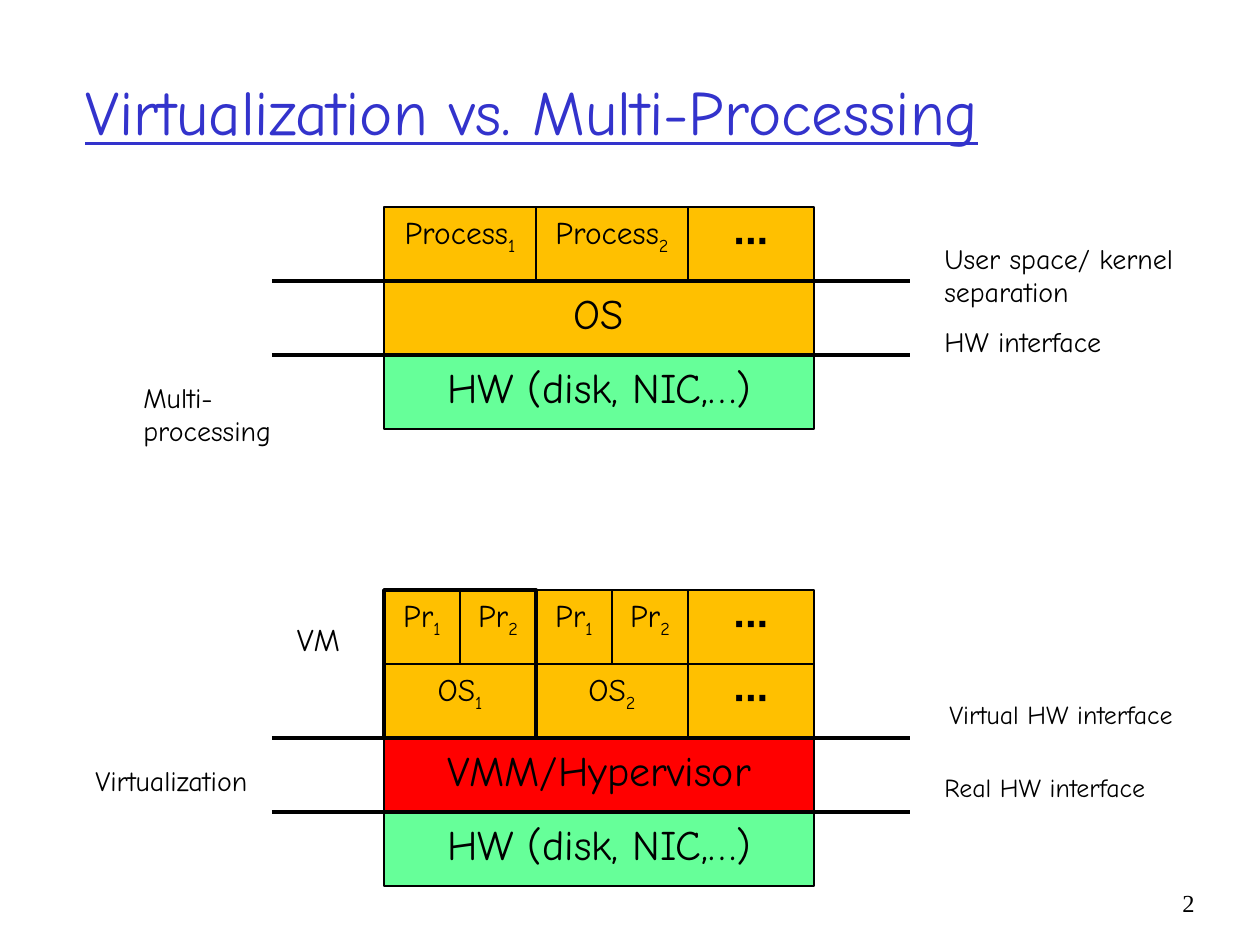
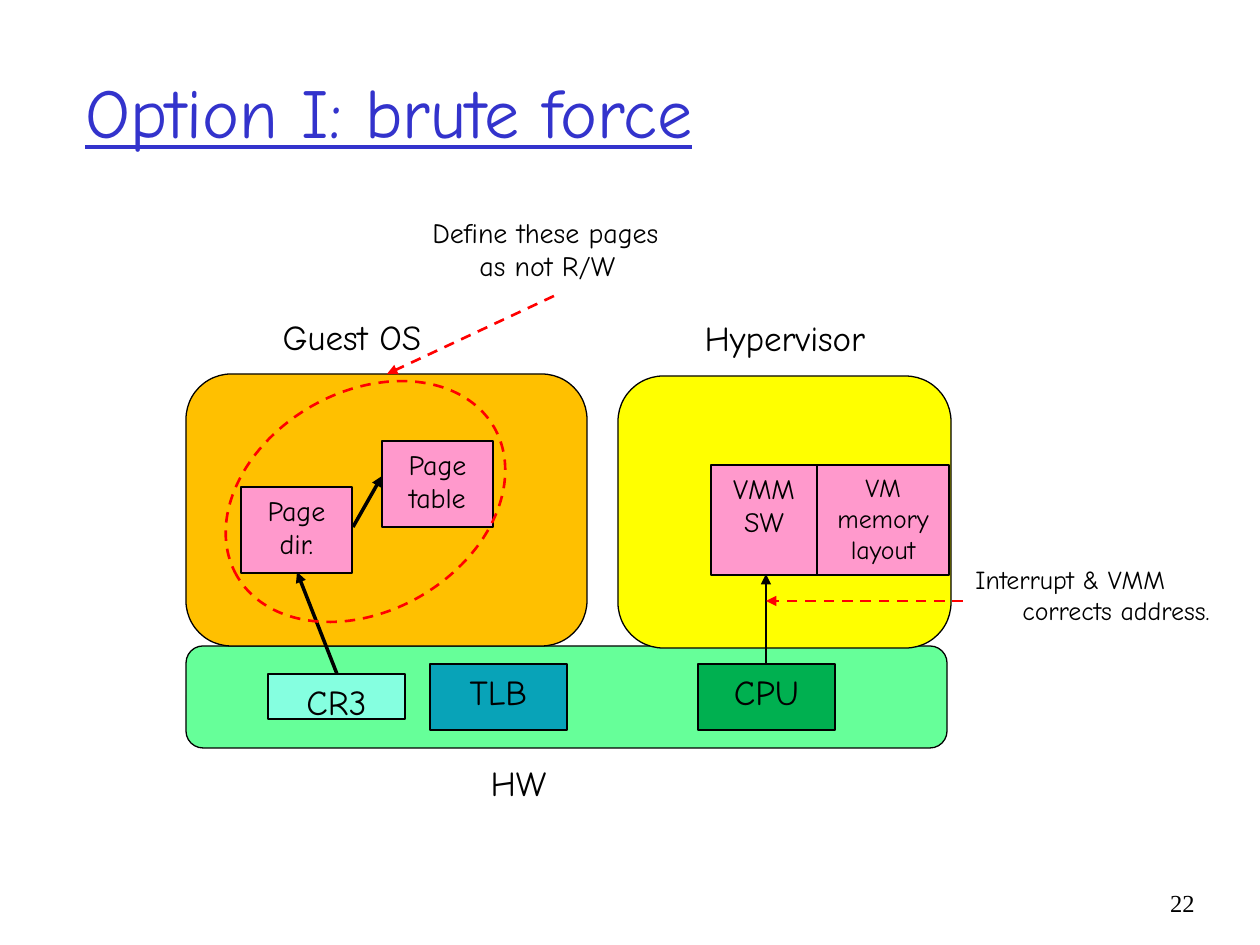
from dataclasses import dataclass

from lxml import etree
from pptx import Presentation
from pptx.dml.color import RGBColor
from pptx.enum.dml import MSO_LINE
from pptx.enum.shapes import MSO_CONNECTOR, MSO_SHAPE
from pptx.enum.text import MSO_ANCHOR, PP_ALIGN
from pptx.oxml.ns import qn
from pptx.util import Pt

RECT, ROUND, OVAL = MSO_SHAPE.RECTANGLE, MSO_SHAPE.ROUNDED_RECTANGLE, MSO_SHAPE.OVAL
STRAIGHT, DASH = MSO_CONNECTOR.STRAIGHT, MSO_LINE.DASH
TOP, MIDDLE = MSO_ANCHOR.TOP, MSO_ANCHOR.MIDDLE
LEFT, CENTER, RIGHT = PP_ALIGN.LEFT, PP_ALIGN.CENTER, PP_ALIGN.RIGHT
EMU_PER_PX = 914400 / 126


@dataclass(frozen=True)
class Theme:
    font: str = "Comic Neue"
    number_font: str = "Times New Roman"
    dots_font: str = "Arial"
    title: str = "3333CC"
    ink: str = "000000"
    alert: str = "FF0000"
    orange: str = "FFC000"
    green: str = "66FF99"
    yellow: str = "FFFF00"
    pink: str = "FF99CC"
    teal: str = "08A3B8"
    aqua: str = "85FFE0"
    cpu: str = "00B050"
    layer: float = 24
    unit: float = 20
    cell: float = 18
    note: float = 16
    small: float = 14.8
    number: float = 14
    thin: float = 0.75
    medium: float = 1.5
    thick: float = 2


T = Theme()


@dataclass(frozen=True)
class Box:
    x: int
    y: int
    w: int
    h: int
    fill: str | None = None
    text: str = ""
    size: float = T.note
    sub: str = ""
    kind: int = RECT
    line: str = T.ink
    weight: float = T.thin
    dashed: bool = False
    turn: int = 0


@dataclass(frozen=True)
class Label:
    x: int
    y: int
    w: int
    h: int
    text: str
    size: float = T.note
    align: int = LEFT
    margin: int = 0
    indent: int = 0


@dataclass(frozen=True)
class Line:
    x1: int
    y1: int
    x2: int
    y2: int
    line: str = T.ink
    weight: float = T.thick
    dashed: bool = False
    arrow: bool = True


def px(n: int) -> int:
    return round(n * EMU_PER_PX)


def write(sp, text: str, size: float, align: int, sub: str = "", color: str = T.ink,
          font: str = T.font, gap: float = 0.25, anchor: int = TOP, **extra):
    """Fill a shape with one paragraph; gap is space before, relative to size."""
    tf = sp.text_frame
    tf.word_wrap, tf.vertical_anchor = True, anchor
    p = tf.paragraphs[0]
    p.alignment, p.space_before = align, Pt(size * gap)
    for piece in filter(None, (text, sub)):
        r = p.add_run()
        r.text = piece
        for name, value in {"name": font, "size": Pt(size), **extra}.items():
            setattr(r.font, name, value)
        r.font.color.rgb = RGBColor.from_string(color)
    if sub:
        r.font._element.set("baseline", "-25000")
    return p


def style_line(line, item: Box | Line) -> None:
    line.color.rgb = RGBColor.from_string(item.line)
    line.width = Pt(item.weight)
    if item.dashed:
        line.dash_style = DASH


def add_box(s, b: Box) -> None:
    sp = s.shapes.add_shape(b.kind, px(b.x), px(b.y), px(b.w), px(b.h))
    sp.shadow.inherit = False
    sp.rotation = b.turn
    if b.fill:
        sp.fill.solid()
        sp.fill.fore_color.rgb = RGBColor.from_string(b.fill)
    else:
        sp.fill.background()
    style_line(sp.line, b)
    if b.text == "∙∙∙":
        write(sp, b.text, b.size, CENTER, font=T.dots_font, bold=True)
    elif b.text:
        write(sp, b.text, b.size, CENTER, b.sub)


def add_label(s, b: Label) -> None:
    sp = s.shapes.add_textbox(px(b.x), px(b.y), px(b.w), px(b.h))
    p = write(sp, b.text, b.size, b.align)
    if b.margin:
        pPr = p._p.get_or_add_pPr()
        pPr.set("marL", str(px(b.margin)))
        pPr.set("indent", str(px(b.indent)))


def add_line(s, n: Line) -> None:
    c = s.shapes.add_connector(STRAIGHT, px(n.x1), px(n.y1), px(n.x2), px(n.y2))
    style_line(c.line, n)
    spPr = c.element.spPr
    if n.arrow:
        etree.SubElement(spPr.find(qn("a:ln")), qn("a:tailEnd"), type="triangle")
    etree.SubElement(spPr, qn("a:effectLst"))


DRAW = {Box: add_box, Label: add_label, Line: add_line}


def add_slide(prs, title: str, size: float, number: int, items: list) -> None:
    s = prs.slides.add_slide(prs.slide_layouts[6])
    sp = s.shapes.add_textbox(px(73), px(32), px(1071), px(157))
    write(sp, title, size, LEFT, color=T.title, gap=0, anchor=MIDDLE, underline=True)
    sp = s.shapes.add_textbox(px(1144), px(882), px(63), px(63))
    write(sp, str(number), T.number, RIGHT, font=T.number_font, gap=0)
    for item in items:
        DRAW[type(item)](s, item)


# Layer stacks: a column holds one process or VM, the last one the dots
STACK_X, COL, DOTS_W, ROW = 384, 152, 126, 74
STACK_W = 2 * COL + DOTS_W
HALF = COL // 2


def layer(y: int, text: str, fill: str) -> Box:
    return Box(STACK_X, y, STACK_W, ROW, fill, text, T.layer)


def cells(y: int, width: int, names: list[tuple[str, str]]) -> list[Box]:
    row = [Box(STACK_X + i * width, y, width, ROW, T.orange, name, T.cell, sub)
           for i, (name, sub) in enumerate(names)]
    return row + [Box(STACK_X + 2 * COL, y, DOTS_W, ROW, T.orange, "∙∙∙", T.layer)]


def separator(y: int) -> Line:
    return Line(272, y, 910, y, arrow=False)


def stacks() -> list:
    multi = [207 + i * ROW for i in range(3)]
    virtual = [590 + i * ROW for i in range(4)]
    hardware = "HW (disk, NIC,…)"
    return [
        # Multi-processing
        layer(multi[2], hardware, T.green),
        layer(multi[1], "OS", T.orange),
        *cells(multi[0], COL, [("Process", "1"), ("Process", "2")]),
        *map(separator, multi[1:]),
        Label(83, 374, 232, 92, "Multi-processing", margin=48),
        Label(932, 235, 268, 92, "User space/ kernel separation"),
        Label(932, 318, 268, 92, "HW interface"),
        # Virtualization
        layer(virtual[3], hardware, T.green),
        layer(virtual[2], "VMM/Hypervisor", T.alert),
        *cells(virtual[0], HALF, [("Pr", "1"), ("Pr", "2")] * 2),
        *cells(virtual[1], COL, [("OS", "1"), ("OS", "2")]),
        *map(separator, virtual[2:]),
        Label(83, 757, 232, 54, "Virtualization"),
        Label(937, 692, 323, 45, "Virtual HW interface", T.small),
        Label(932, 765, 285, 45, "Real HW interface", T.small),
        # One virtual machine
        Box(STACK_X, virtual[0], COL, 2 * ROW, weight=T.thick),
        Label(267, 614, 103, 73, "VM", T.cell, CENTER),
    ]


def brute_force() -> list:
    red = {"line": T.alert, "weight": T.medium, "dashed": True}
    hanging = {"margin": 47, "indent": -47}
    return [
        # Hardware
        Box(186, 646, 761, 102, T.green, kind=ROUND),
        Label(450, 755, 137, 66, "HW", T.unit, CENTER),
        Box(430, 664, 137, 66, T.teal, "TLB", T.unit),
        Box(268, 674, 137, 45, T.aqua, "CR3", T.unit),
        Box(698, 664, 137, 66, T.cpu, "CPU", T.unit),
        # Guest OS
        Box(186, 374, 401, 272, T.orange, kind=ROUND),
        Label(239, 309, 226, 66, "Guest OS", T.unit, CENTER),
        Box(241, 487, 111, 86, T.pink, "Page dir."),
        Box(382, 441, 111, 86, T.pink, "Page table"),
        Line(337, 674, 297, 572),
        Line(353, 527, 382, 476),
        # Hypervisor
        Box(618, 376, 333, 272, T.yellow, kind=ROUND),
        Label(672, 310, 226, 66, "Hypervisor", T.unit, CENTER),
        Box(817, 465, 132, 110, T.pink, "VM memory layout", T.small),
        Box(711, 465, 106, 110, T.pink, "VMM SW"),
        Line(766, 664, 766, 574, weight=T.medium),
        # Protected pages and the interrupt
        Box(217, 392, 297, 219, kind=OVAL, turn=-30, **red),
        Label(420, 209, 270, 87, "Define these pages as not R/W", **hanging),
        Line(554, 296, 387, 374, **red),
        Label(963, 557, 270, 87, "Interrupt & VMM corrects address.", T.small, **hanging),
        Line(963, 601, 766, 601, **red),
    ]


def main() -> None:
    prs = Presentation()
    prs.slide_width, prs.slide_height = px(1260), px(945)
    add_slide(prs, "Virtualization vs. Multi-Processing", 36, 2, stacks())
    add_slide(prs, "Option I: brute force", 40, 22, brute_force())
    prs.save("out.pptx")


if __name__ == "__main__":
    main()
